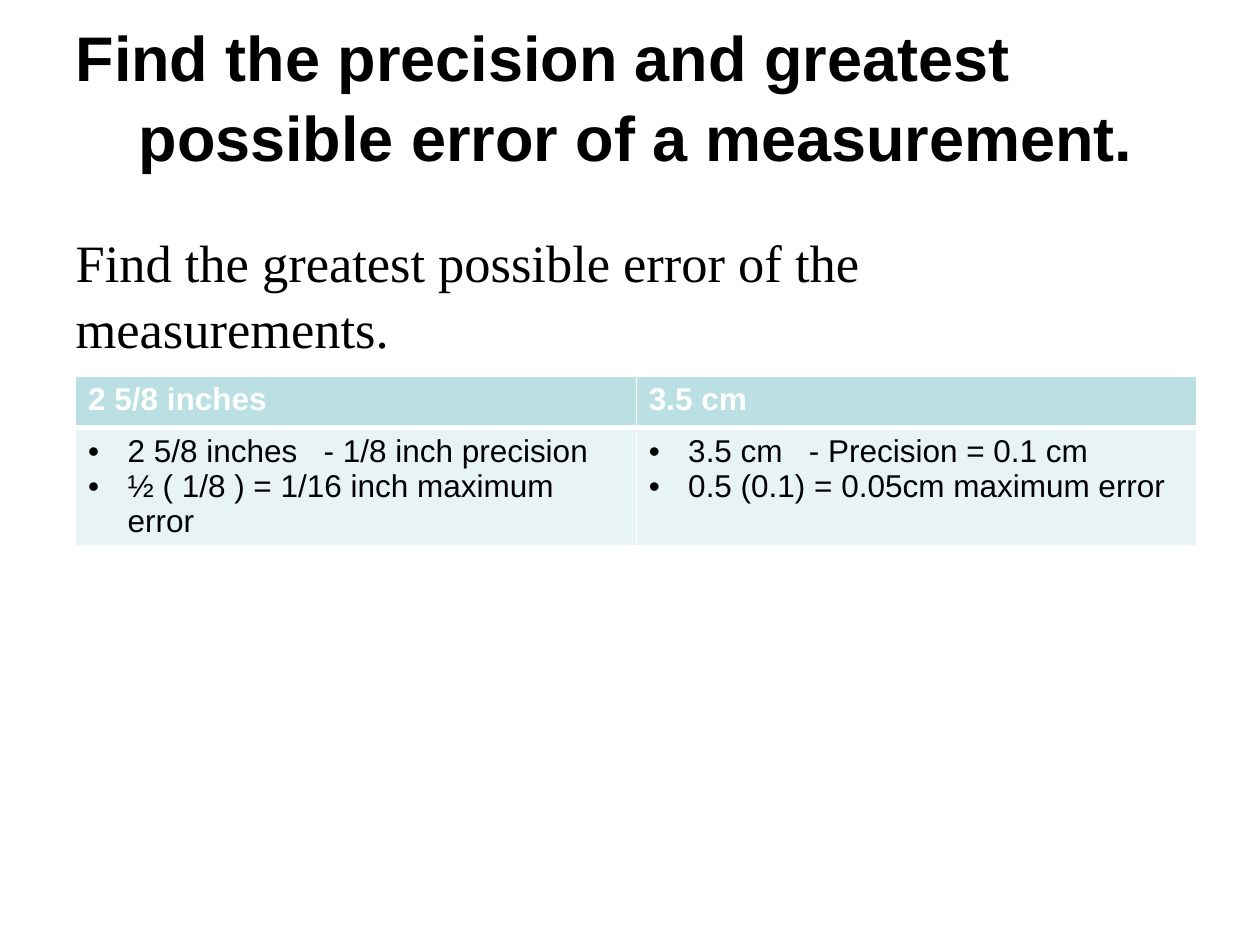
from lxml import etree
from pptx import Presentation
from pptx.dml.color import RGBColor
from pptx.enum.text import MSO_ANCHOR, MSO_AUTO_SIZE, PP_ALIGN
from pptx.oxml.ns import qn
from pptx.util import Pt

LEFT = PP_ALIGN.LEFT
TOP, BOTTOM = MSO_ANCHOR.TOP, MSO_ANCHOR.BOTTOM
NO_AUTOFIT = MSO_AUTO_SIZE.NONE

BLACK = RGBColor(0x00, 0x00, 0x00)
WHITE = RGBColor(0xFF, 0xFF, 0xFF)
HEADER_FILL = RGBColor(0xBB, 0xE0, 0xE3)
BODY_FILL = RGBColor(0xE7, 0xF3, 0xF4)


def write_paragraph(paragraph, text, size, font="Arial", color=BLACK, bold=False,
                    margin=0, indent=0, bullet=None):
    paragraph.alignment = LEFT
    run = paragraph.add_run()
    run.text = text
    run.font.size = Pt(size)
    run.font.name = font
    run.font.color.rgb = color
    run.font.bold = bold
    properties = paragraph._p.get_or_add_pPr()
    properties.set("marL", str(Pt(margin)))
    properties.set("indent", str(Pt(indent)))
    if bullet:
        etree.SubElement(properties, qn("a:buFont"), typeface="Arial")
        etree.SubElement(properties, qn("a:buChar"), char=bullet)
    else:
        etree.SubElement(properties, qn("a:buNone"))


def set_borders(cell, color, **widths):
    properties = cell._tc.get_or_add_tcPr()
    for position, (side, width) in enumerate(widths.items()):
        line = etree.Element(qn(f"a:ln{side}"), w=str(Pt(width)))
        fill = etree.SubElement(line, qn("a:solidFill"))
        etree.SubElement(fill, qn("a:srgbClr"), val=str(color))
        properties.insert(position, line)


presentation = Presentation()
presentation.slide_width, presentation.slide_height = Pt(720), Pt(540)
slide = presentation.slides.add_slide(presentation.slide_layouts[1])

# Title with a hanging indent
title = slide.shapes.title
title.left, title.top, title.width, title.height = Pt(36), Pt(13), Pt(648), Pt(90)
title.text_frame.auto_size = NO_AUTOFIT
title.text_frame.vertical_anchor = BOTTOM
paragraph = title.text_frame.paragraphs[0]
paragraph.line_spacing = 1.05
write_paragraph(paragraph, "Find the precision and greatest possible error of a measurement.",
                36, bold=True, margin=36, indent=-36)

# Task
body = slide.placeholders[1]
body.left, body.top, body.width, body.height = Pt(36), Pt(126), Pt(646), Pt(81)
body.text_frame.auto_size = NO_AUTOFIT
body.text_frame.vertical_anchor = TOP
paragraph = body.text_frame.paragraphs[0]
paragraph.line_spacing = 1.05
paragraph.space_before = Pt(4)
write_paragraph(paragraph, "Find the greatest possible error of the measurements.",
                30, font="Times New Roman")

# Table: one column for each measurement
measurements = {
    "2 5/8 inches": ["2 5/8 inches   - 1/8 inch precision",
                     "½ ( 1/8 ) = 1/16 inch maximum error"],
    "3.5 cm": ["3.5 cm   - Precision = 0.1 cm",
               "0.5 (0.1) = 0.05cm maximum error"],
}
table = slide.shapes.add_table(2, 2, Pt(43.2), Pt(214.8), Pt(640.8), Pt(59)).table
for column, (measurement, steps) in enumerate(measurements.items()):
    table.columns[column].width = Pt(320.4)
    header, answer = table.cell(0, column), table.cell(1, column)

    header.fill.solid()
    header.fill.fore_color.rgb = HEADER_FILL
    set_borders(header, WHITE, L=1, R=1, T=1, B=3)
    write_paragraph(header.text_frame.paragraphs[0], measurement, 18, color=WHITE, bold=True)

    answer.fill.solid()
    answer.fill.fore_color.rgb = BODY_FILL
    set_borders(answer, WHITE, L=1, R=1, T=3, B=1)
    for number, step in enumerate(steps):
        frame = answer.text_frame
        paragraph = frame.add_paragraph() if number else frame.paragraphs[0]
        write_paragraph(paragraph, step, 18, margin=22.5, indent=-22.5, bullet="•")

presentation.save("out.pptx")
